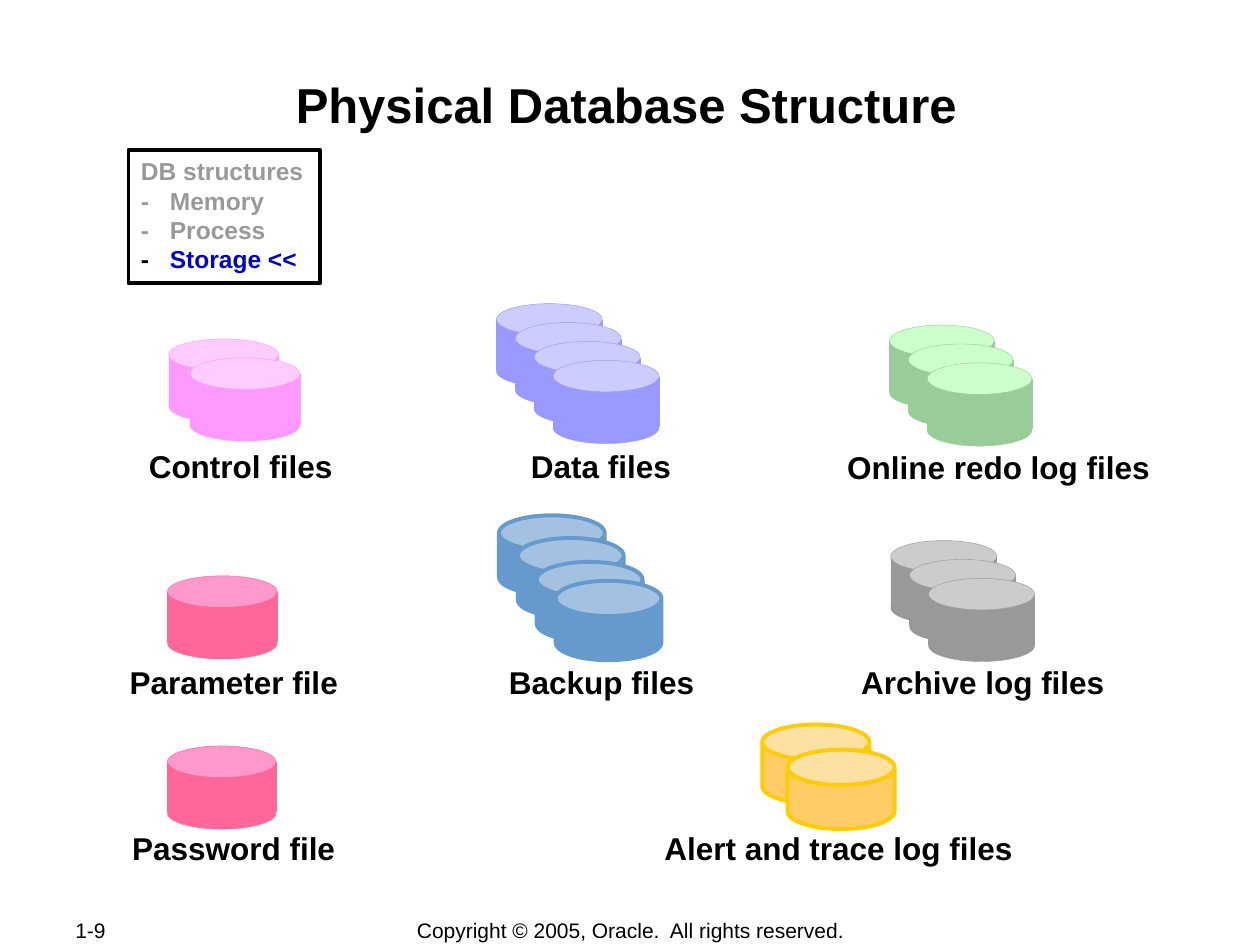
import pptx
import pptx.util
from pptx.dml.color import RGBColor
from pptx.enum.shapes import MSO_SHAPE
from pptx.enum.text import MSO_ANCHOR, PP_ALIGN
from pptx.util import Inches, Pt

BLACK = RGBColor(0x00, 0x00, 0x00)
DIM = RGBColor(0x99, 0x99, 0x99)
ACTIVE = RGBColor(0x00, 0x00, 0xCC)
GREEN, PALE_GREEN = RGBColor(0x99, 0xCC, 0x99), RGBColor(0xCC, 0xFF, 0xCC)
ROSE, PALE_ROSE = RGBColor(0xFF, 0x66, 0x99), RGBColor(0xFF, 0x99, 0xCC)
PINK, PALE_PINK = RGBColor(0xFF, 0x99, 0xFF), RGBColor(0xFF, 0xCC, 0xFF)
VIOLET, PALE_VIOLET = RGBColor(0x99, 0x99, 0xFF), RGBColor(0xCC, 0xCC, 0xFF)
GRAY, PALE_GRAY = RGBColor(0x99, 0x99, 0x99), RGBColor(0xCC, 0xCC, 0xCC)
BLUE = RGBColor(0x66, 0x99, 0xCC)
AMBER, GOLD = RGBColor(0xFF, 0xCC, 0x66), RGBColor(0xFF, 0xCC, 0x00)


class Deck:
    font = "Arial"

    def __init__(self, prs):
        self.s = prs.slides.add_slide(prs.slide_layouts[6])

    def run(self, p, text, size, color=BLACK, bold=True):
        r = p.add_run()
        r.text = text
        r.font.name, r.font.size, r.font.bold = self.font, Pt(size), bold
        r.font.color.rgb = color

    def text(self, box, text, size=18, bold=True, inset=0.01,
             align=PP_ALIGN.CENTER, anchor=MSO_ANCHOR.TOP):
        tf = self.s.shapes.add_textbox(*map(Inches, box)).text_frame
        tf.word_wrap = True
        tf.vertical_anchor = anchor
        tf.margin_left = tf.margin_right = Inches(inset)
        tf.margin_top = tf.margin_bottom = Inches(0.01)
        p = tf.paragraphs[0]
        p.alignment = align
        self.run(p, text, size, bold=bold)

    def shape(self, shapes, kind, box, fill, line, width=0.25):
        sp = shapes.add_shape(kind, *map(Inches, box))
        sp.shadow.inherit = False
        if fill is None:
            sp.fill.background()
        else:
            sp.fill.solid()
            sp.fill.fore_color.rgb = fill
        sp.line.color.rgb = line
        sp.line.width = Pt(width)
        return sp

    def disks(self, x, y, count, w, body, lid, dx=0.15, dy=0.15):
        """Grouped stack of disks, each a rectangle between two ellipses."""
        shapes = self.s.shapes.add_group_shape().shapes
        for i in range(count):
            left, top = x + i * dx, y + i * dy
            self.shape(shapes, MSO_SHAPE.RECTANGLE, (left, top + 0.13, w, 0.39), body, body)
            self.shape(shapes, MSO_SHAPE.OVAL, (left, top, w, 0.25), lid, body)
            self.shape(shapes, MSO_SHAPE.OVAL, (left, top + 0.41, w, 0.25), body, body)

    def cans(self, shapes, corners, w, fill, line):
        for x, y in corners:
            sp = self.shape(shapes, MSO_SHAPE.CAN, (x, y, w, 0.63), fill, line, 2.25)
            sp.adjustments[0] = 0.445

    def outline(self, box, heading, items, size=14):
        """Framed list; the last item is the current one."""
        sp = self.shape(self.s.shapes, MSO_SHAPE.RECTANGLE, box, None, BLACK, 2.25)
        tf = sp.text_frame
        tf.word_wrap = False
        tf.vertical_anchor = MSO_ANCHOR.TOP
        p = tf.paragraphs[0]
        p.alignment = PP_ALIGN.LEFT
        self.run(p, heading, size, DIM)
        for item in items:
            current = item == items[-1]
            p = tf.add_paragraph()
            p.alignment = PP_ALIGN.LEFT
            pPr = p._p.get_or_add_pPr()
            pPr.set("marL", str(Inches(0.23)))
            pPr.set("indent", str(-Inches(0.23)))
            self.run(p, "-\t", size, BLACK if current else DIM)
            self.run(p, item, size, ACTIVE if current else DIM)


def main():
    prs = pptx.Presentation()
    prs.slide_width, prs.slide_height = Inches(10), Inches(7.5)
    deck = Deck(prs)

    deck.text((2.76, 7.28, 4.49, 0.21), "Copyright © 2005, Oracle.  All rights reserved.",
              12, bold=False, anchor=MSO_ANCHOR.MIDDLE)
    deck.text((0.5, 7.28, 1.06, 0.2), "1-9", 12, bold=False, inset=0.1,
              align=PP_ALIGN.LEFT, anchor=MSO_ANCHOR.MIDDLE)
    deck.text((0.97, 0.58, 8, 0.96), "Physical Database Structure", 28)
    deck.outline((1.02, 1.19, 1.52, 1.06), "DB structures",
                 ["Memory", "Process", "Storage <<"])

    deck.disks(1.34, 2.69, 2, 0.87, PINK, PALE_PINK, dx=0.17)
    deck.disks(3.94, 2.41, 4, 0.84, VIOLET, PALE_VIOLET)
    deck.disks(7.06, 2.58, 3, 0.83, GREEN, PALE_GREEN)
    deck.disks(1.33, 4.57, 1, 0.87, ROSE, PALE_ROSE)
    deck.disks(7.07, 4.29, 3, 0.84, GRAY, PALE_GRAY)
    deck.disks(1.33, 5.92, 1, 0.86, ROSE, PALE_ROSE)

    backup = deck.s.shapes.add_group_shape().shapes
    deck.cans(backup, [(3.96, 4.09), (4.11, 4.27), (4.26, 4.46), (4.41, 4.61)],
              0.84, BLUE, BLUE)
    deck.cans(deck.s.shapes, [(6.05, 5.75), (6.25, 5.95)], 0.85, AMBER, GOLD)

    labels = [
        ("Control files", 1.1, 3.54, 1.62),
        ("Data files", 4.02, 3.54, 1.5),
        ("Online redo log files", 6.65, 3.55, 2.55),
        ("Parameter file", 0.77, 5.25, 2.17),
        ("Backup files", 3.93, 5.25, 1.69),
        ("Archive log files", 6.59, 5.25, 2.42),
        ("Password file", 0.97, 6.57, 1.77),
        ("Alert and trace log files", 5.17, 6.57, 2.97),
    ]
    for name, x, y, w in labels:
        deck.text((x, y, w, 0.33), name)

    prs.save("out.pptx")


if __name__ == "__main__":
    main()
